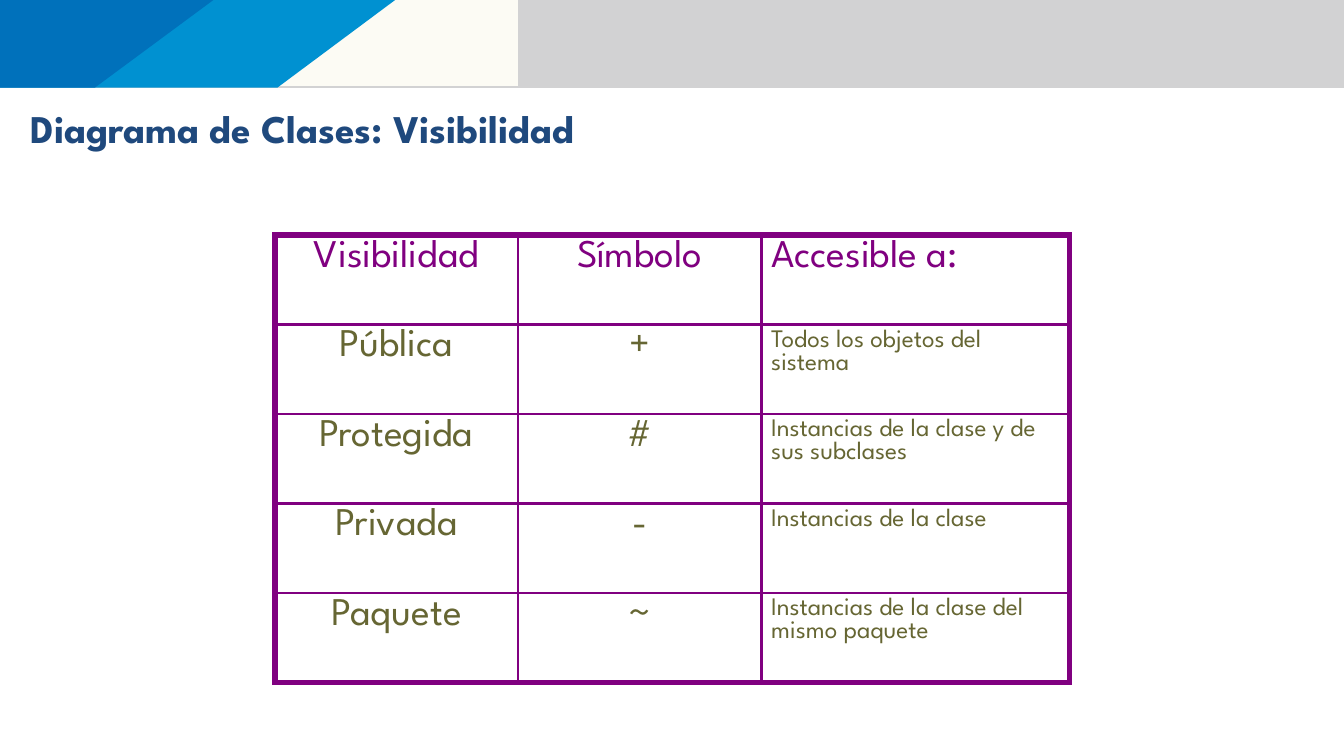
from dataclasses import dataclass

from lxml import etree
from pptx import Presentation
from pptx import util as u
from pptx.dml import color
from pptx.enum import text
from pptx.oxml import ns


@dataclass(frozen=True)
class Theme:
    font: str = "League Spartan"
    grey: str = "D2D2D3"
    cream: str = "FCFBF4"
    light_blue: str = "0091D1"
    dark_blue: str = "0071BB"
    title: str = "1F497D"
    purple: str = "800080"
    olive: str = "666633"
    large: int = 28
    small: int = 18
    outer_line: float = 4.5
    inner_line: float = 2.25


THEME = Theme()

ROWS = [
    ("Visibilidad", "Símbolo", "Accesible a:"),
    ("Pública", "+", "Todos los objetos del sistema"),
    ("Protegida", "#", "Instancias de la clase y de sus subclases"),
    ("Privada", "-", "Instancias de la clase"),
    ("Paquete", "~", "Instancias de la clase del mismo paquete"),
]
COLUMN_SHARES = (0.306, 0.306, 0.388)


def style_text(para, size, colour, bold=False):
    for span in para.runs:
        span.font.name = THEME.font
        span.font.size = u.Pt(size)
        span.font.bold = bold
        span.font.color.rgb = color.RGBColor.from_string(colour)


def add_band(page, left, top, width, height):
    # Each layer: width along the top, width along the bottom, height, colour
    layers = [
        (width, width, height, THEME.grey),
        (u.Cm(13.06), u.Cm(13.06), height - u.Cm(0.03), THEME.cream),
        (u.Cm(9.96), u.Cm(6.99), height, THEME.light_blue),
        (u.Cm(5.38), u.Cm(2.39), height, THEME.dark_blue),
    ]
    for upper, lower, depth, colour in layers:
        outline = page.shapes.build_freeform(left, top)
        outline.add_line_segments([
            (left + upper, top),
            (left + lower, top + depth),
            (left, top + depth),
        ])
        layer = outline.convert_to_shape()
        layer.shadow.inherit = False
        layer.fill.solid()
        layer.fill.fore_color.rgb = color.RGBColor.from_string(colour)
        layer.line.fill.background()


def add_title(page, left, top, width, height):
    box = page.shapes.add_textbox(left, top, width, height)
    frame = box.text_frame
    frame.text = "Diagrama de Clases: Visibilidad"
    frame.word_wrap = False
    frame.auto_size = text.MSO_AUTO_SIZE.SHAPE_TO_FIT_TEXT
    style_text(frame.paragraphs[0], THEME.large, THEME.title, bold=True)


def add_borders(cell, outer_sides):
    properties = cell._tc.get_or_add_tcPr()
    for side in "LRTB":
        points = THEME.outer_line if side in outer_sides else THEME.inner_line
        line = etree.SubElement(properties, ns.qn(f"a:ln{side}"), w=str(u.Pt(points)))
        fill = etree.SubElement(line, ns.qn("a:solidFill"))
        etree.SubElement(fill, ns.qn("a:srgbClr"), val=THEME.purple)


def set_space_before(para, percent):
    spacing = etree.SubElement(para._p.get_or_add_pPr(), ns.qn("a:spcBef"))
    etree.SubElement(spacing, ns.qn("a:spcPct"), val=str(percent * 1000))


def add_visibility_table(page, left, top, width, height):
    last_row, last_column = len(ROWS) - 1, len(COLUMN_SHARES) - 1
    table = page.shapes.add_table(
        len(ROWS), len(COLUMN_SHARES), left, top, width, height).table
    table.first_row = table.horz_banding = False
    for column, share in zip(table.columns, COLUMN_SHARES):
        column.width = int(width * share)

    for r, words in enumerate(ROWS):
        for c, word in enumerate(words):
            cell = table.cell(r, c)
            cell.text_frame.text = word
            para = cell.text_frame.paragraphs[0]
            is_header, is_description = r == 0, c == last_column
            para.alignment = (text.PP_ALIGN.LEFT if is_description
                              else text.PP_ALIGN.CENTER)
            set_space_before(para, 20)
            size = THEME.small if is_description and not is_header else THEME.large
            style_text(para, size, THEME.purple if is_header else THEME.olive)

            # Thick lines around the table, thin lines inside
            edges = {"L": c == 0, "R": c == last_column,
                     "T": r == 0, "B": r == last_row}
            add_borders(cell, [side for side, outer in edges.items() if outer])
            cell.fill.background()


def main():
    deck = Presentation()
    deck.slide_width, deck.slide_height = u.Cm(33.87), u.Cm(19.05)
    page = deck.slides.add_slide(deck.slide_layouts[6])
    add_band(page, 0, 0, deck.slide_width, u.Cm(2.21))
    add_title(page, u.Cm(0.53), u.Cm(2.51), u.Cm(15.6), u.Cm(1.45))
    add_visibility_table(page, u.Cm(6.93), u.Cm(5.92), u.Cm(20.02), u.Cm(11.28))
    deck.save("out.pptx")


if __name__ == "__main__":
    main()
